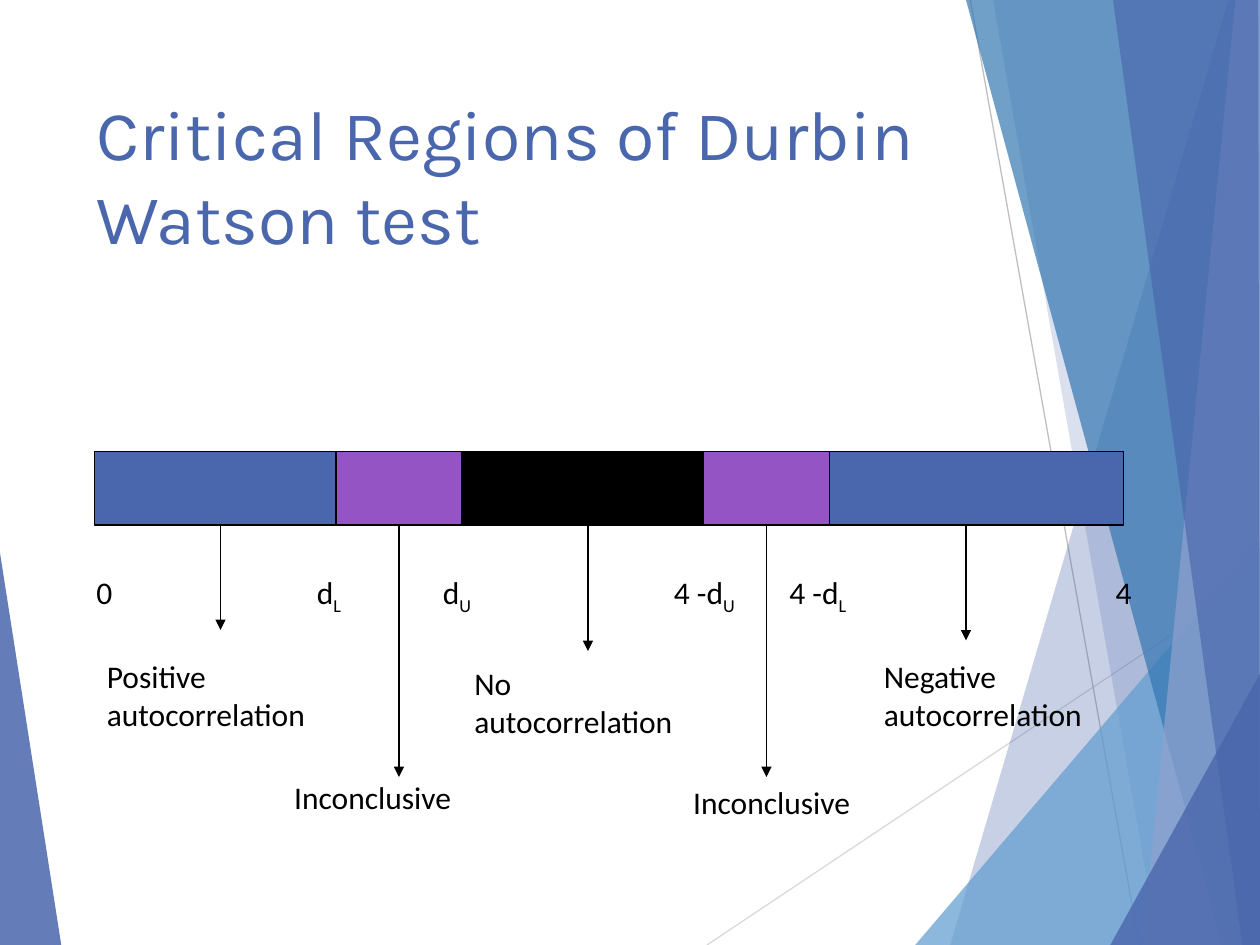
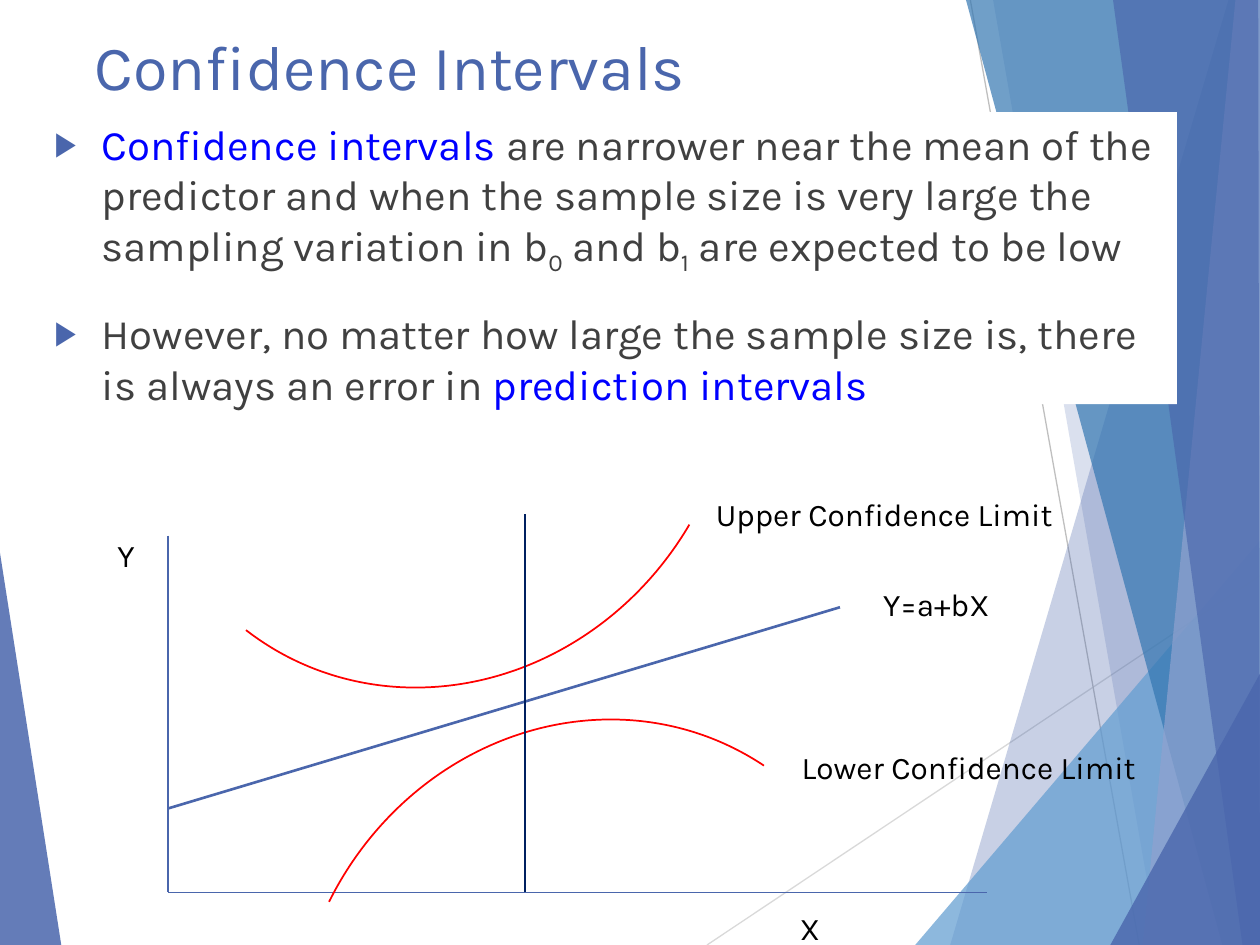
"""Build two slides on the Durbin Watson test and confidence intervals."""
from itertools import accumulate
from lxml.etree import SubElement
from pptx import Presentation
from pptx.dml.color import RGBColor
from pptx.enum.shapes import MSO_CONNECTOR, MSO_SHAPE
from pptx.enum.text import MSO_ANCHOR, PP_ALIGN
from pptx.oxml.ns import qn
from pptx.util import Pt

BLUE, PURPLE, BLACK, WHITE = "4A66AC", "9454C3", "000000", "FFFFFF"
GREY, LINK, RED, NAVY = "404040", "0000FF", "FF0000", "002060"
KARLA, PLAIN = "Karla", "Calibri"

RAYS = [("D9D9D9", (404, 540, 720, 329)), ("BFBFBF", (554.5, 0, 651, 540))]
WEDGES = [
    (BLUE, 85, [(0, 316), (35, 540), (0, 540)]),
    (BLUE, 30, [(702, 0), (543, 540), (720, 540), (720, 0)]),
    (BLUE, 20, [(567.5, 0), (662, 540), (720, 540), (720, 0)]),
    ("629DD1", 72, [(523, 540), (720, 309), (720, 540)]),
    ("3477B2", 70, [(552, 0), (698.5, 540), (720, 540), (720, 0)]),
    ("90A2CF", 70, [(706, 0), (653, 540), (720, 540), (720, 0)]),
    (BLUE, 65, [(636, 0), (710, 540), (720, 540), (719, 0)]),
    (BLUE, 80, [(634.5, 540), (720, 385), (720, 540)]),
]

BAR = (54, 258, 42)
ZONES = [(138, BLUE), (72, PURPLE), (138, BLACK), (72, PURPLE), (168, BLUE)]
MARKS = [
    (48, 30, "0", ""), (174, 42, "d", "L"), (246, 42, "d", "U"),
    (378, 60, "4 -d", "U"), (444, 60, "4 -d", "L"), (612, 60, "4", ""),
]
NOTES = [
    ("Positive autocorrelation", 54, 372, 126, 360),
    ("Inconclusive", 144, 441, 228, 444),
    ("No autocorrelation", 264, 376, 336, 372),
    ("Inconclusive", 372, 444, 438, 444),
    ("Negative autocorrelation", 498, 372, 552, 366),
]

POINTS = [
    [("Confidence intervals ", LINK, 0),
     ("are narrower near the mean of the predictor and when the sample size "
      "is very large the sampling variation in b", None, 0),
     ("0", None, 1), (" and b", None, 0), ("1", None, 1),
     (" are expected to be low", None, 0)],
    [("However, no matter how large the sample size is, there is always "
      "an error in ", None, 0),
     ("prediction intervals", LINK, 0)],
]
LINES = [
    ((96, 306, 96, 510), BLUE, 1), ((96, 510, 564, 510), BLUE, 1),
    ((96, 462, 480, 347), BLUE, 1.5),
]
MEAN = ((300, 510, 300, 294), NAVY, 1.5)
ARCS = [(67.5, 46.8, 120.4), (157, 422, 296.4)]
TAGS = [
    ("X", 450, 516, 36), ("Y", 60, 303, 36), ("Y=a+bX", 497.5, 331, 79),
    ("Upper Confidence Limit", 402, 279.5, 234),
    ("Lower Confidence Limit", 451, 424, 234),
]


def rgb(hue):
    return RGBColor.from_string(hue)


def paint(shape, fill=None, line=None, width=0.75):
    shape.shadow.inherit = False
    if fill:
        shape.fill.solid()
        shape.fill.fore_color.rgb = rgb(fill)
    else:
        shape.fill.background()
    if line:
        shape.line.color.rgb = rgb(line)
        shape.line.width = Pt(width)
    else:
        shape.line.fill.background()


def stroke(slide, ends, hue, width=0.75, arrow=False):
    line = slide.shapes.add_connector(MSO_CONNECTOR.STRAIGHT, *map(Pt, ends))
    line.line.color.rgb = rgb(hue)
    line.line.width = Pt(width)
    if arrow:
        SubElement(line.line._get_or_add_ln(), qn("a:tailEnd"), type="triangle")
    SubElement(line._element.spPr, qn("a:effectLst"))


def wedge(slide, hue, alpha, spots):
    first, *rest = [(Pt(x), Pt(y)) for x, y in spots]
    path = slide.shapes.build_freeform(*first, scale=1.0)
    path.add_line_segments(rest)
    shape = path.convert_to_shape()
    paint(shape, hue)
    tint = shape._element.spPr.find(qn("a:solidFill"))[0]
    SubElement(tint, qn("a:alpha"), val=str(alpha * 1000))


def style(para, size, face, hue):
    para.font.size = Pt(size)
    para.font.name = face
    para.font.color.rgb = rgb(hue)


def write(para, runs):
    for text, hue, sub in runs:
        run = para.add_run()
        run.text = text
        if hue:
            run.font.color.rgb = rgb(hue)
        if sub:
            run._r.get_or_add_rPr().set("baseline", "-25000")


def label(slide, box, text, face, sub="", align=PP_ALIGN.LEFT):
    frame = slide.shapes.add_textbox(*map(Pt, box)).text_frame
    frame.word_wrap = True
    para = frame.paragraphs[0]
    para.alignment = align
    style(para, 18, face, BLACK)
    write(para, [(text, None, 0)] + ([(sub, None, 1)] if sub else []))


def bullet(para):
    prop = para._p.get_or_add_pPr()
    prop.set("marL", str(Pt(27)))
    prop.set("indent", str(-Pt(27)))
    tint = SubElement(prop, qn("a:buClr"))
    SubElement(tint, qn("a:srgbClr"), val=BLUE)
    SubElement(prop, qn("a:buSzPct"), val="80000")
    SubElement(prop, qn("a:buFont"), typeface="Arial")
    SubElement(prop, qn("a:buChar"), char="▶")


def start(deck, text, box, size):
    slide = deck.slides.add_slide(deck.slide_layouts[5])
    for hue, ends in RAYS:
        stroke(slide, ends, hue)
    for item in WEDGES:
        wedge(slide, *item)
    title = slide.shapes.title
    title.left, title.top, title.width, title.height = map(Pt, box)
    frame = title.text_frame
    frame.text = text
    frame.vertical_anchor = MSO_ANCHOR.TOP
    frame.paragraphs[0].alignment = PP_ALIGN.LEFT
    style(frame.paragraphs[0], size, KARLA, BLUE)
    return slide


def regions(deck):
    slide = start(deck, "Critical Regions of Durbin Watson test",
                  (48, 48, 500, 104), 40)
    left, top, high = BAR
    edges = accumulate((wide for wide, _ in ZONES), initial=left)
    for x, (wide, hue) in zip(edges, ZONES):
        box = map(Pt, (x, top, wide, high))
        paint(slide.shapes.add_shape(MSO_SHAPE.RECTANGLE, *box), hue, BLACK)
    for x, wide, text, sub in MARKS:
        align = PP_ALIGN.CENTER if text == "4" else PP_ALIGN.LEFT
        label(slide, (x, 324, wide, 29), text, PLAIN, sub, align)
    for text, x, y, stem, tip in NOTES:
        short = text == "Inconclusive"
        label(slide, (x, y, 138, 29 if short else 51), text, PLAIN,
              align=PP_ALIGN.CENTER if short else PP_ALIGN.LEFT)
        stroke(slide, (stem, top + high, stem, tip), BLACK, arrow=True)


def limits(deck):
    slide = start(deck, "Confidence Intervals", (47, 12, 500, 66), 36)
    body = slide.shapes.add_textbox(*map(Pt, (24, 64, 648.5, 167)))
    paint(body, WHITE)
    frame = body.text_frame
    frame.word_wrap = True
    for i, runs in enumerate(POINTS):
        para = frame.add_paragraph() if i else frame.paragraphs[0]
        bullet(para)
        if i:
            para.space_before = Pt(18)
        style(para, 24, KARLA, GREY)
        write(para, runs)
    for item in LINES:
        stroke(slide, *item)
    for x, y, turn in ARCS:
        box = map(Pt, (x, y, 363, 336))
        arc = slide.shapes.add_shape(MSO_SHAPE.ARC, *box)
        arc.adjustments[0], arc.adjustments[1] = 162, 3.8
        arc.rotation = turn
        paint(arc, line=RED, width=1)
    stroke(slide, *MEAN)
    for text, x, y, wide in TAGS:
        label(slide, (x, y, wide, 29), text, KARLA)


def main():
    deck = Presentation()
    deck.slide_width, deck.slide_height = Pt(720), Pt(540)
    regions(deck)
    limits(deck)
    deck.save("out.pptx")


if __name__ == "__main__":
    main()
